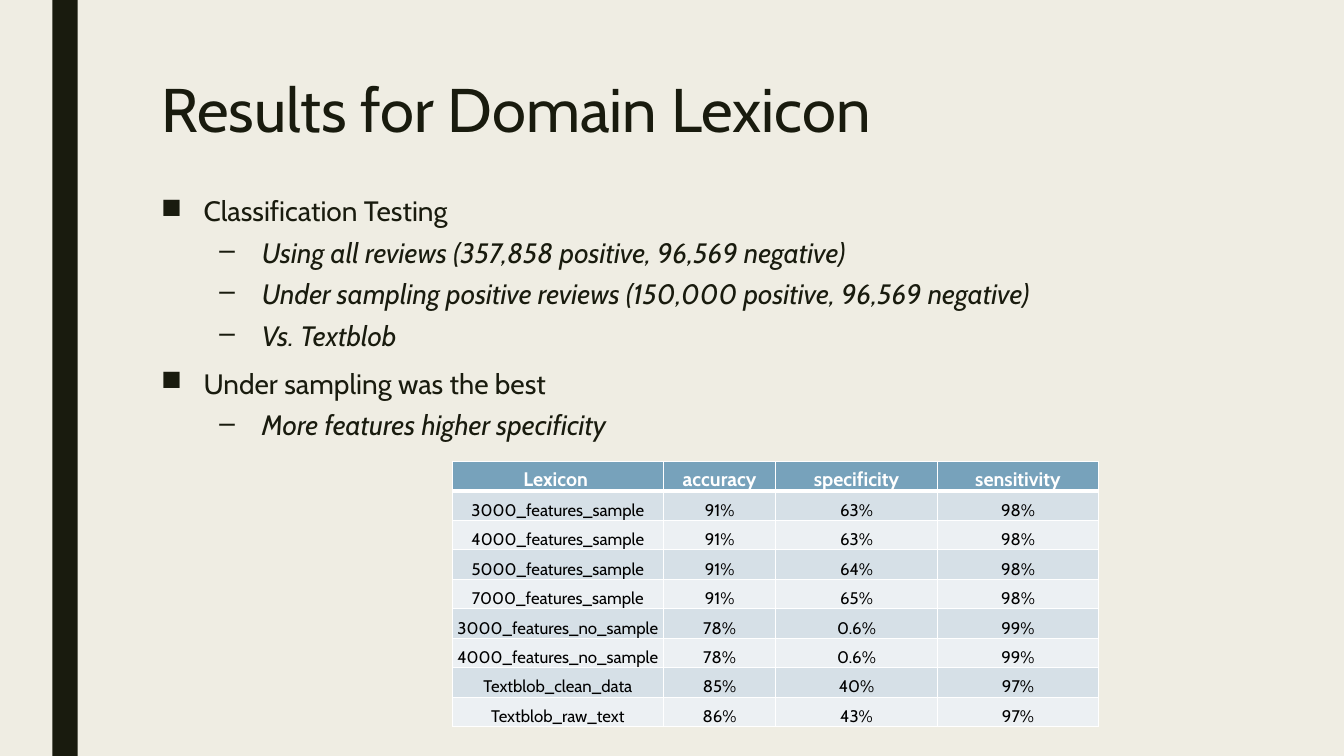
from lxml import etree
from pptx import Presentation
from pptx import util as u
from pptx.dml.color import RGBColor
from pptx.enum import shapes, text
from pptx.oxml.ns import qn

INK, PAPER, WHITE = "191B0E", "EFEDE3", "FFFFFF"
HEAD, BANDS = "77A2BB", ("D6E0E7", "ECF0F3")

POINTS = [
    (0, "Classification Testing"),
    (1, "Using all reviews (357,858 positive, 96,569 negative)"),
    (1, "Under sampling positive reviews (150,000 positive, 96,569 negative)"),
    (1, "Vs. Textblob"),
    (0, "Under sampling was the best"),
    (1, "More features higher specificity"),
]
SCORES = [
    ("Lexicon ", "accuracy", "specificity", "sensitivity"),
    ("3000_features_sample", "91%", "63%", "98%"),
    ("4000_features_sample", "91%", "63%", "98%"),
    ("5000_features_sample", "91%", "64%", "98%"),
    ("7000_features_sample", "91%", "65%", "98%"),
    ("3000_features_no_sample", "78%", "0.6%", "99%"),
    ("4000_features_no_sample", "78%", "0.6%", "99%"),
    ("Textblob_clean_data", "85%", "40%", "97%"),
    ("Textblob_raw_text", "86%", "43%", "97%"),
]


def paint(fill, color):
    fill.solid()
    fill.fore_color.rgb = RGBColor.from_string(color)


def write(par, words, size=20, color=INK, bold=False, italic=False,
          align=None, line=None, before=0, after=0):
    run = par.add_run()
    run.text = words
    font = run.font
    font.name, font.size, font.bold, font.italic = "Cabin", u.Pt(size), bold, italic
    font.color.rgb = RGBColor.from_string(color)
    par.alignment, par.line_spacing = align, line
    par.space_before, par.space_after = u.Pt(before), u.Pt(after)


def frame(slide, box):
    body = slide.shapes.add_textbox(*map(u.Cm, box)).text_frame
    body.word_wrap = True
    return body


def bullet(par, sign, left, hang):
    props = par._p.get_or_add_pPr()
    props.set("marL", str(u.Cm(left)))
    props.set("indent", str(-u.Cm(hang)))
    etree.SubElement(props, qn("a:buChar")).set("char", sign)


def edge(cell, side, width):
    line = etree.SubElement(cell._tc.get_or_add_tcPr(), qn("a:ln" + side))
    line.set("w", str(u.Pt(width)))
    fill = etree.SubElement(line, qn("a:solidFill"))
    etree.SubElement(fill, qn("a:srgbClr")).set("val", WHITE)


# Dark vertical bar
def stripe(slide, box):
    bar = slide.shapes.add_shape(shapes.MSO_SHAPE.RECTANGLE, *map(u.Cm, box))
    bar.shadow.inherit = False
    paint(bar.fill, INK)
    bar.line.fill.background()


# Heading
def title(slide, box):
    write(frame(slide, box).paragraphs[0], "Results for Domain Lexicon",
          size=44, line=0.89)


# Two-level bullet list
def points(slide, box):
    body = frame(slide, box)
    for i, (level, words) in enumerate(POINTS):
        par = body.add_paragraph() if i else body.paragraphs[0]
        par.level = level
        write(par, words, italic=level == 1, line=0.94,
              before=5 if level else 10, after=2)
        bullet(par, "–" if level else "■", 2.54 if level else 1.07, 1.07)


# Score table
def scores(slide, box):
    grid = slide.shapes.add_table(len(SCORES), 4, *map(u.Cm, box)).table
    for col, width in zip(grid.columns, (5.32, 2.83, 4.07, 4.07)):
        col.width = u.Cm(width)
    for r, row in enumerate(SCORES):
        grid.rows[r].height = u.Cm(box[3] / len(SCORES))
        top = r == 0
        for c, words in enumerate(row):
            cell = grid.cell(r, c)
            cell.margin_left = cell.margin_right = cell.margin_top = u.Cm(0.02)
            cell.margin_bottom = 0
            cell.vertical_anchor = text.MSO_ANCHOR.BOTTOM
            for side in "LRTB":
                rule = (r, side) in ((0, "B"), (1, "T"))
                edge(cell, side, 3 if rule else 1)
            paint(cell.fill, HEAD if top else BANDS[(r - 1) % 2])
            write(cell.text_frame.paragraphs[0], words, size=14 if top else 12,
                  color=WHITE if top else "000000", bold=top,
                  align=text.PP_ALIGN.CENTER)


def main():
    deck = Presentation()
    deck.slide_width, deck.slide_height = u.Cm(33.87), u.Cm(19.05)
    slide = deck.slides.add_slide(deck.slide_layouts[6])
    paint(slide.background.fill, PAPER)
    stripe(slide, (1.32, 0, 0.64, 19.05))
    title(slide, (3.81, 1.9, 26.67, 4.11))
    points(slide, (3.81, 4.83, 26.67, 10.85))
    scores(slide, (11.4, 11.63, 16.29, 6.68))
    deck.save("out.pptx")


if __name__ == "__main__":
    main()
